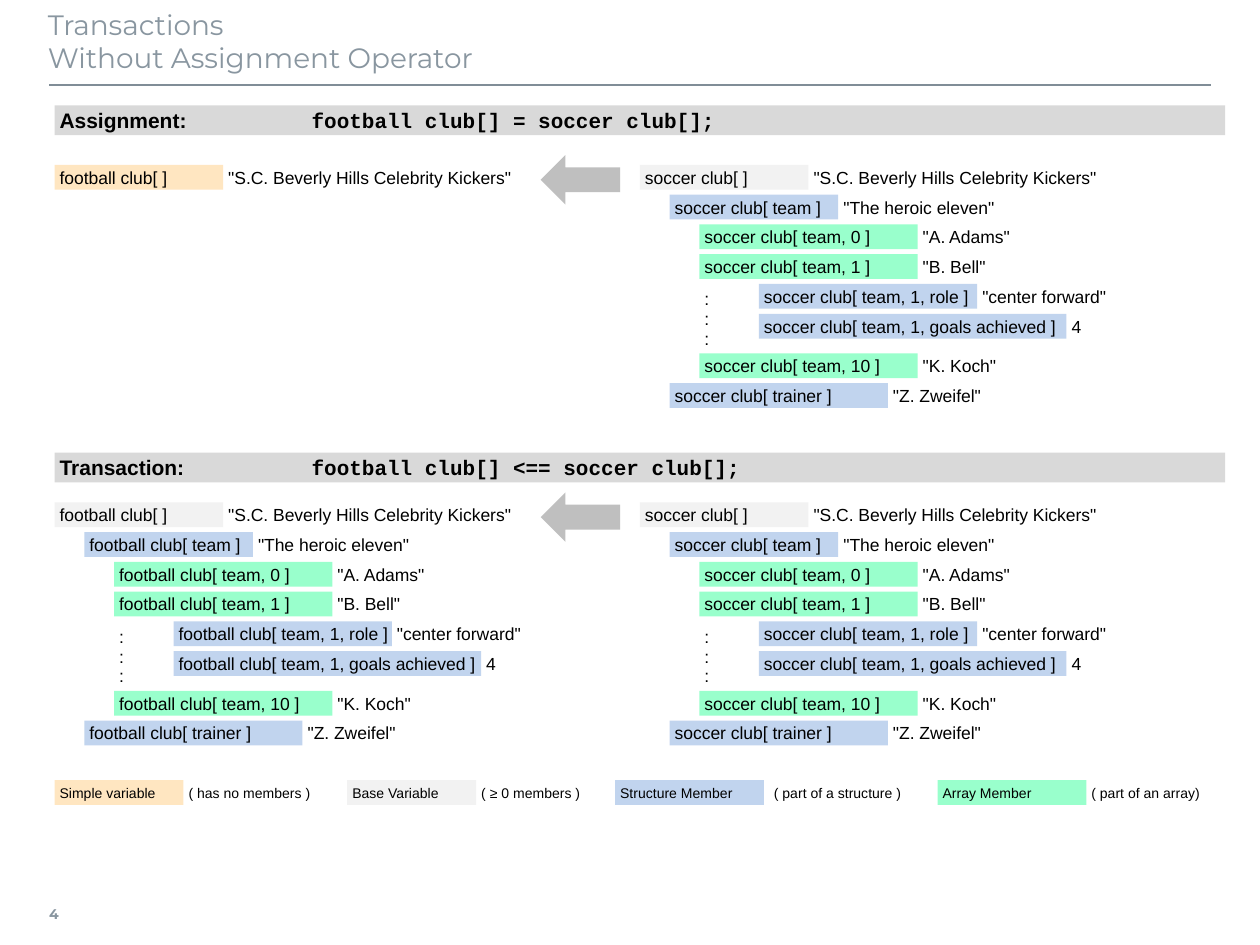
"""Build the slide that compares assignment and transaction of variable trees."""
import pptx
import pptx.dml.color
import pptx.enum.shapes
import pptx.enum.text
import pptx.oxml
import pptx.oxml.ns
import pptx.util

RGBColor = pptx.dml.color.RGBColor
SHAPE = pptx.enum.shapes.MSO_SHAPE
ANCHOR = pptx.enum.text.MSO_ANCHOR
UNIT = pptx.util.Mm(2)
LEFT, TOP = 5.5, 0.63
WIDTH, HEIGHT = pptx.util.Inches(10), pptx.util.Inches(7.5)

BLACK = RGBColor(0x00, 0x00, 0x00)
TITLE_GRAY = RGBColor(0x89, 0x96, 0xA0)
RULE_GRAY = RGBColor(0x80, 0x8D, 0x97)
HEADING = RGBColor(0xD9, 0xD9, 0xD9)
ARROW = RGBColor(0xBF, 0xBF, 0xBF)
SIMPLE = RGBColor(0xFF, 0xE6, 0xC1)
BASE = RGBColor(0xF2, 0xF2, 0xF2)
STRUCTURE = RGBColor(0xC1, 0xD4, 0xEE)
ARRAY = RGBColor(0x99, 0xFF, 0xCC)

ROOT = (0, 0, 17, BASE, "", '"S.C. Beverly Hills Celebrity Kickers"', 30)
MEMBERS = [
    (3, 3, 17, STRUCTURE, "team", '"The heroic eleven"', 29),
    (6, 6, 22, ARRAY, "team, 0", '"A. Adams"', 16),
    (6, 9, 22, ARRAY, "team, 1", '"B. Bell"', 16),
    (12, 12, 22, STRUCTURE, "team, 1, role", '"center forward"', 14),
    (12, 15, 31, STRUCTURE, "team, 1, goals achieved", "4", 5),
    (6, 19, 22, ARRAY, "team, 10", '"K. Koch"', 16),
    (3, 22, 22, STRUCTURE, "trainer", '"Z. Zweifel"', 22),
]
LEGEND = [
    (0, 13, SIMPLE, "Simple variable", 13, 17, "( has no members )"),
    (29.5, 13, BASE, "Base Variable", 42.5, 15.5, "( ≥ 0 members )"),
    (56.5, 15, STRUCTURE, "Structure Member", 72, 17, "( part of a structure )"),
    (89, 15, ARRAY, "Array Member", 104, 15, "( part of an array)"),
]


def grid(col, row, cols, rows):
    """Turn grid columns and rows into left, top, width and height."""
    return [round(n * UNIT) for n in (LEFT + col, TOP + row, cols, rows)]


def share(x, y, w, h):
    """Turn shares of the slide into left, top, width and height."""
    return [round(n) for n in (x * WIDTH, y * HEIGHT, w * WIDTH, h * HEIGHT)]


def write(sp, text, size=10, font="Arial", color=BLACK, bold=False,
          insets=(0.04, 0.04, 0.04, 0.04), anchor=ANCHOR.MIDDLE, wrap=False):
    """Append a formatted run to the first paragraph of a shape."""
    tf = sp.text_frame
    tf.word_wrap = wrap
    tf.vertical_anchor = anchor
    tf.margin_left, tf.margin_top, tf.margin_right, tf.margin_bottom = map(
        pptx.util.Inches, insets)
    p = tf.paragraphs[0]
    p.alignment = pptx.enum.text.PP_ALIGN.LEFT
    lines = text.split("\n")
    for i, line in enumerate(lines):
        if i:
            p.add_line_break()
        r = p.add_run()
        r.text = line
        r.font.size = pptx.util.Pt(size)
        r.font.name = font
        r.font.bold = bold
        r.font.color.rgb = color


def add_filled(s, box, fill, kind=SHAPE.RECTANGLE):
    """Add a flat preset shape without outline."""
    sp = s.shapes.add_shape(kind, *box)
    sp.shadow.inherit = False
    sp.fill.solid()
    sp.fill.fore_color.rgb = fill
    sp.line.fill.background()
    return sp


def add_title(s, text):
    """Fill the title placeholder and draw the rule below it."""
    sp = s.shapes.title
    sp.left, sp.top, sp.width, sp.height = share(0.038, 0.001, 0.921, 0.084)
    write(sp, text, size=16, font="Montserrat", color=TITLE_GRAY,
          insets=(0, 0.05, 0.1, 0.05), anchor=ANCHOR.TOP, wrap=True)
    x, y, w, h = share(0.039, 0.09, 0.922, 0)
    rule = s.shapes.add_connector(
        pptx.enum.shapes.MSO_CONNECTOR.STRAIGHT, x, y, x + w, y)
    rule.line.color.rgb = RULE_GRAY
    rule.line.width = pptx.util.Pt(1)
    rule._element.spPr.append(pptx.oxml.parse_xml(
        "<a:effectLst %s/>" % pptx.oxml.ns.nsdecls("a")))


def add_heading(s, row, label, code):
    """Add a gray bar with a label and a tabbed code statement."""
    sp = add_filled(s, grid(0, row, 118, 3), HEADING)
    write(sp, label, size=12, bold=True)
    write(sp, "\t" + code, size=12, font="Courier New", bold=True)
    pPr = sp.text_frame.paragraphs[0]._p.get_or_add_pPr()
    pPr.append(pptx.oxml.parse_xml(
        '<a:tabLst %s><a:tab pos="%d" algn="l"/></a:tabLst>'
        % (pptx.oxml.ns.nsdecls("a"), pptx.util.Inches(2))))


def add_label(s, box, text, **fmt):
    """Add a text box with one formatted line."""
    write(s.shapes.add_textbox(*box), text, **fmt)


def add_node(s, col, row, name, node, fill=None):
    """Add one variable of a tree with its value beside it."""
    dx, dy, cols, color, key, value, value_cols = node
    sp = add_filled(s, grid(col + dx, row + dy, cols, 2.5), fill or color)
    write(sp, f"{name}[ {key} ]" if key else f"{name}[ ]")
    add_label(s, grid(col + dx + cols, row + dy, value_cols, 2.5), value)


def add_tree(s, col, row, name):
    """Add a base variable with all its members and the dots between them."""
    for node in [ROOT] + MEMBERS:
        add_node(s, col, row, name, node)
    for dy in (12, 14, 16):
        add_label(s, grid(col + 6, row + dy, 2, 3), ":")


def add_legend(s, row):
    """Add the colour key."""
    for col, cols, fill, name, note_col, note_cols, note in LEGEND:
        write(add_filled(s, grid(col, row, cols, 2.5), fill), name, size=8)
        add_label(s, grid(note_col, row, note_cols, 2.5), note, size=8)


def main():
    """Build and save the slide."""
    prs = pptx.Presentation()
    prs.slide_width, prs.slide_height = WIDTH, HEIGHT
    s = prs.slides.add_slide(prs.slide_layouts[5])
    add_title(s, "Transactions\nWithout Assignment Operator")
    add_heading(s, 10, "Assignment:", "football club[] = soccer club[];")
    add_heading(s, 45, "Transaction:", "football club[] <== soccer club[];")
    for row in (16, 50):
        add_tree(s, 59, row, "soccer club")
        add_filled(s, grid(49, row - 1, 8, 5), ARROW, SHAPE.LEFT_ARROW)
    add_node(s, 0, 16, "football club", ROOT, fill=SIMPLE)
    add_tree(s, 0, 50, "football club")
    add_legend(s, 78)
    add_label(s, share(0.039, 0.941, 0.035, 0.052), "4", size=8,
              font="Montserrat", color=TITLE_GRAY, bold=True,
              insets=(0, 0.05, 0.08, 0.05))
    prs.save("out.pptx")


if __name__ == "__main__":
    main()
